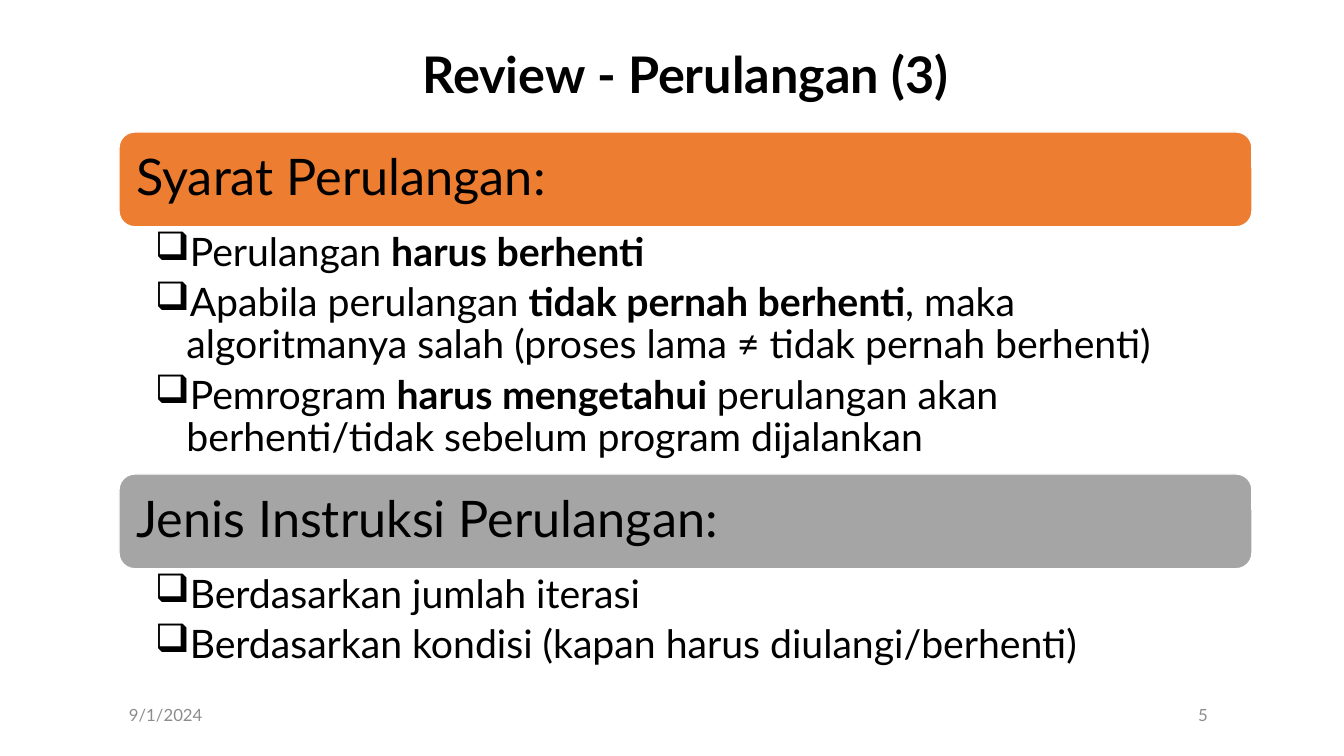
from lxml.etree import SubElement
from pptx import Presentation
from pptx.dml.color import RGBColor
from pptx.enum.shapes import MSO_SHAPE
from pptx.enum.text import MSO_ANCHOR, PP_ALIGN
from pptx.oxml.ns import qn
from pptx.util import Pt

LEFT, WIDTH = 85, 809.3
HEADER_HEIGHT = 67.7
SECTIONS = [
    (94.3, 175.7, "ED7D31", "Syarat Perulangan:", [
        [("Perulangan ", False), ("harus berhenti", True)],
        [("Apabila perulangan ", False), ("tidak pernah berhenti", True),
         (", maka algoritmanya salah (proses lama ≠ tidak pernah berhenti)", False)],
        [("Pemrogram ", False), ("harus mengetahui ", True),
         ("perulangan akan berhenti/tidak sebelum program dijalankan", False)],
    ]),
    (338.6, 76.3, "A5A5A5", "Jenis Instruksi Perulangan:", [
        [("Berdasarkan jumlah iterasi", False)],
        [("Berdasarkan kondisi (kapan harus diulangi/berhenti)", False)],
    ]),
]


def color(value):
    """Return the colour for a hex string."""
    return RGBColor.from_string(value)


def apply_format(target, formats):
    """Set each attribute of the target from a dict."""
    for name, value in formats.items():
        setattr(target, name, value)


def add_runs(paragraph, runs, size, hex_color="000000"):
    """Add (text, bold) runs to a paragraph."""
    for text, bold in runs:
        run = paragraph.add_run()
        run.text = text
        apply_format(run.font, {"name": "Lato", "size": Pt(size), "bold": bold})
        run.font.color.rgb = color(hex_color)


def add_bullet(paragraph, character, indent):
    """Give a paragraph a hanging bullet."""
    properties = paragraph._p.get_or_add_pPr()
    properties.set("marL", str(Pt(indent)))
    properties.set("indent", str(-Pt(indent)))
    SubElement(properties, qn("a:buChar")).set("char", character)


def add_label(slide, box, runs, size, hex_color="000000", alignment=PP_ALIGN.LEFT):
    """Add one line of vertically centred text in the given box."""
    frame = slide.shapes.add_textbox(*map(Pt, box)).text_frame
    apply_format(frame, {"word_wrap": True, "vertical_anchor": MSO_ANCHOR.MIDDLE})
    paragraph = frame.paragraphs[0]
    apply_format(paragraph, {"alignment": alignment, "line_spacing": 0.9})
    add_runs(paragraph, runs, size, hex_color)


def add_header(slide, box, text, fill):
    """Add a rounded bar holding a section heading."""
    shape = slide.shapes.add_shape(MSO_SHAPE.ROUNDED_RECTANGLE, *map(Pt, box))
    shape.shadow.inherit = False
    shape.fill.solid()
    shape.fill.fore_color.rgb = color(fill)
    shape.line.color.rgb = color("FFFFFF")
    shape.line.width = Pt(1)
    frame = shape.text_frame
    apply_format(frame, {"word_wrap": True, "vertical_anchor": MSO_ANCHOR.MIDDLE,
                         "margin_left": Pt(9.2), "margin_right": Pt(9.2)})
    paragraph = frame.paragraphs[0]
    apply_format(paragraph, {"alignment": PP_ALIGN.LEFT, "line_spacing": 0.9})
    add_runs(paragraph, [(text, False)], 36)


def add_bullets(slide, box, items):
    """Add a bulleted list in the given box."""
    frame = slide.shapes.add_textbox(*map(Pt, box)).text_frame
    apply_format(frame, {"word_wrap": True, "margin_left": Pt(25.7), "margin_right": Pt(20),
                         "margin_top": Pt(3.6), "margin_bottom": Pt(3.6)})
    for index, runs in enumerate(items):
        paragraph = frame.add_paragraph() if index else frame.paragraphs[0]
        add_bullet(paragraph, "❑", 22.5)
        apply_format(paragraph, {"line_spacing": 0.9, "space_after": Pt(5.6)})
        add_runs(paragraph, runs, 28)


def add_section(slide, box, fill, heading, items):
    """Add a heading bar with its list below it."""
    left, top, width, height = box
    add_header(slide, (left, top, width, HEADER_HEIGHT), heading, fill)
    add_bullets(slide, (left, top + HEADER_HEIGHT + 0.6, width, height - HEADER_HEIGHT), items)


def add_footer(slide, box):
    """Add the date and the slide number."""
    left, top, width, height = box
    date_width = 108.7
    number_left = left + date_width + 4.3
    add_label(slide, (left, top, date_width, height), [("9/1/2024", False)], 12, "8C8C8C")
    add_label(slide, (number_left, top, left + width - number_left, height),
              [("5", False)], 12, "8C8C8C", PP_ALIGN.RIGHT)


def main():
    """Build and save the presentation."""
    presentation = Presentation()
    apply_format(presentation, {"slide_width": Pt(960), "slide_height": Pt(540)})
    slide = presentation.slides.add_slide(presentation.slide_layouts[6])
    add_label(slide, (LEFT, 28.8, WIDTH, 53.3), [("Review - Perulangan (3)", True)], 36,
              alignment=PP_ALIGN.CENTER)
    for top, list_height, fill, heading, items in SECTIONS:
        add_section(slide, (LEFT, top, WIDTH, HEADER_HEIGHT + list_height), fill, heading, items)
    add_footer(slide, (LEFT, 496.8, 784.8, 28.8))
    presentation.save("out.pptx")


if __name__ == "__main__":
    main()
